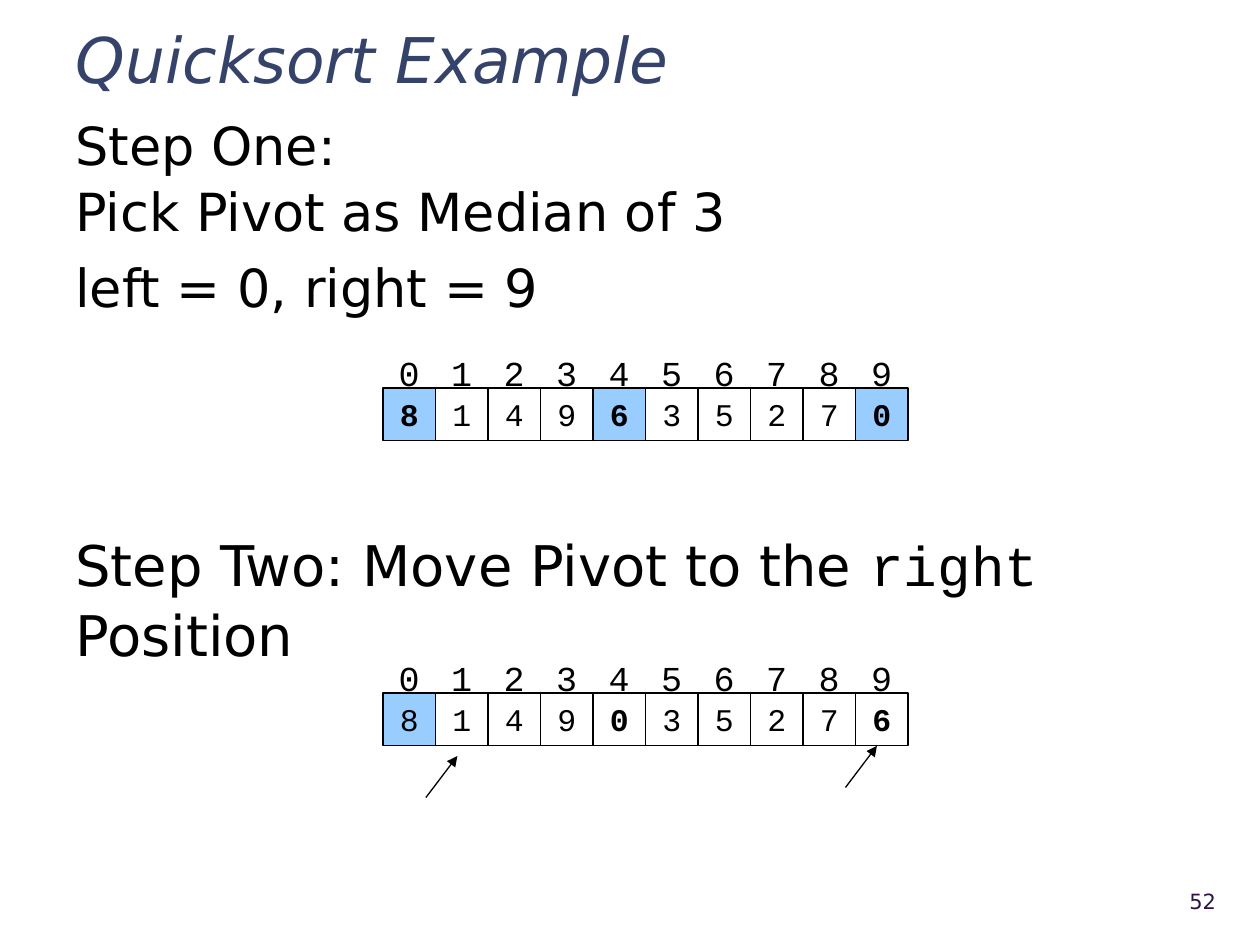
from pptx import Presentation
from pptx import util as u
from pptx.dml.color import RGBColor
from pptx.enum import shapes, text
from pptx.oxml.ns import qn
from lxml import etree

SANS, MONO = "DejaVu Sans", "Courier New"
CELL = 5 / 12
ARRAY_LEFT = 3.04


def color(value):
    return RGBColor.from_string(value)


def write(para, content, size=30, font=SANS, fill="000000", bold=False,
          italic=False, align=text.PP_ALIGN.LEFT, spacing=None):
    """Append text to a paragraph; a newline becomes a line break."""
    para.alignment = align
    if spacing:
        para.line_spacing = spacing
    for number, line in enumerate(content.split("\n")):
        if number:
            para.add_line_break()
        span = para.add_run()
        span.text = line
        span.font.size = u.Pt(size)
        span.font.name = font
        span.font.bold = bold
        span.font.italic = italic
        span.font.color.rgb = color(fill)


deck = Presentation()
deck.slide_width, deck.slide_height = u.Inches(10), u.Inches(7.5)
page = deck.slides.add_slide(deck.slide_layouts[5])

# Title
title = page.shapes.title
title.left, title.top = u.Inches(0.5), u.Inches(0.17)
title.width, title.height = u.Inches(9.25), u.Inches(0.53)
title.text_frame.vertical_anchor = text.MSO_ANCHOR.MIDDLE
title.text_frame.auto_size = text.MSO_AUTO_SIZE.NONE
write(title.text_frame.paragraphs[0], "Quicksort Example", size=36,
      fill="35436A", italic=True, spacing=1.1)

# Steps, with room for the first array left above step two
steps = page.shapes.add_textbox(u.Inches(0.5), u.Inches(0.83),
                                u.Inches(9.25), u.Inches(6)).text_frame
steps.word_wrap = True
write(steps.paragraphs[0], "Step One: \nPick Pivot as Median of 3", spacing=1.04)
bounds = steps.add_paragraph()
bounds.space_before = u.Pt(6)
write(bounds, "left = 0, right = 9", spacing=1.04)
step_two = steps.add_paragraph()
step_two.space_before = u.Pt(120)
for content, font in [("Step Two: Move Pivot to the ", SANS),
                      ("right ", MONO), ("Position", SANS)]:
    write(step_two, content, size=32, font=font, spacing=1.04)

# Arrays: top, values, highlighted positions, bold positions
arrays = [
    (3.08, "8149635270", {0, 4, 9}, {0, 4, 9}),
    (5.5, "8149035276", {0}, {4, 9}),
]
for top, values, highlighted, bold in arrays:
    for index, value in enumerate(values):
        left = u.Inches(ARRAY_LEFT + index * CELL)
        cell = page.shapes.add_shape(shapes.MSO_SHAPE.RECTANGLE, left,
                                     u.Inches(top), u.Inches(CELL), u.Inches(CELL))
        cell.shadow.inherit = False
        cell.line.color.rgb = color("000000")
        cell.line.width = u.Pt(0.75)
        if index in highlighted:
            cell.fill.solid()
            cell.fill.fore_color.rgb = color("99CCFF")
        else:
            cell.fill.background()
        label = page.shapes.add_textbox(left, u.Inches(top - 0.33),
                                        u.Inches(CELL), u.Inches(CELL))
        for box, content, size in [(cell, value, 18), (label, str(index), 20)]:
            box.text_frame.word_wrap = False
            box.text_frame.vertical_anchor = text.MSO_ANCHOR.MIDDLE
            write(box.text_frame.paragraphs[0], content, size=size, font=MONO,
                  bold=box is cell and index in bold,
                  align=text.PP_ALIGN.CENTER)

# Arrows to the scan positions
for left, top in [(3.38, 6), (6.71, 5.92)]:
    arrow = page.shapes.add_connector(
        shapes.MSO_CONNECTOR.STRAIGHT, u.Inches(left), u.Inches(top + 0.33),
        u.Inches(left + 0.25), u.Inches(top))
    arrow.line.color.rgb = color("000000")
    arrow.line.width = u.Pt(0.75)
    etree.SubElement(arrow.line._get_or_add_ln(), qn("a:tailEnd"), type="triangle")
    etree.SubElement(arrow._element.spPr, qn("a:effectLst"))

# Slide number
number_box = page.shapes.add_textbox(u.Inches(8.89), u.Inches(6.95),
                                     u.Inches(0.86), u.Inches(0.4)).text_frame
number_box.word_wrap = True
number_box.vertical_anchor = text.MSO_ANCHOR.MIDDLE
write(number_box.paragraphs[0], "52", size=12, fill="2F1343",
      align=text.PP_ALIGN.RIGHT)

deck.save("out.pptx")
